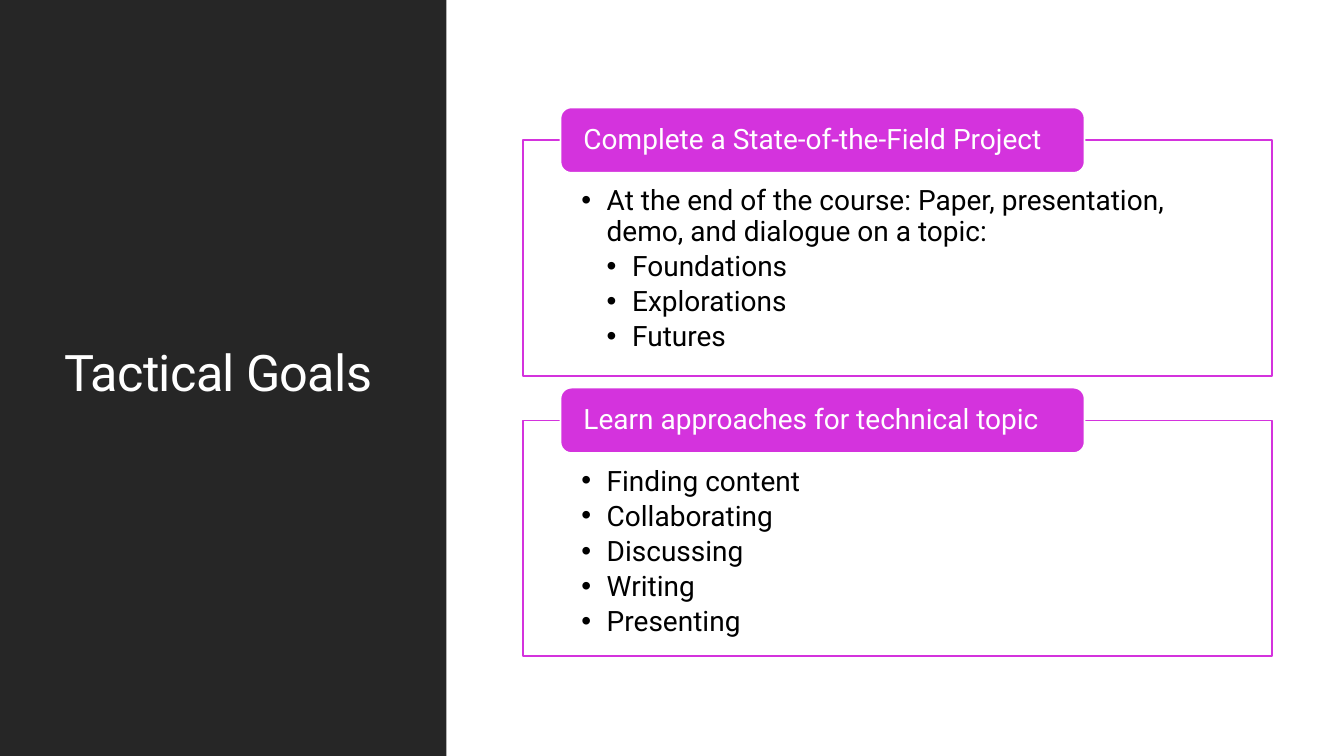
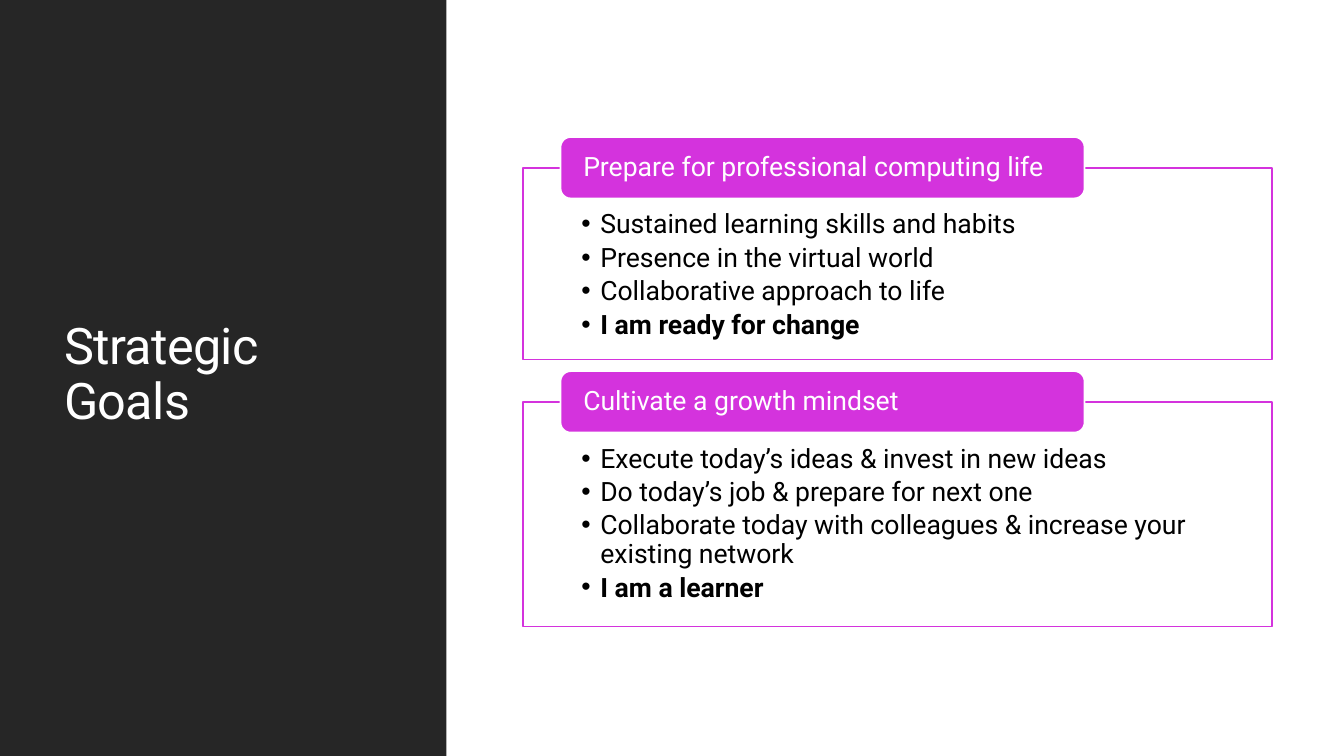
from dataclasses import dataclass

from lxml.etree import SubElement
from pptx import Presentation
from pptx.dml.color import RGBColor
from pptx.enum.shapes import MSO_SHAPE
from pptx.enum.text import MSO_ANCHOR, MSO_AUTO_SIZE, PP_ALIGN
from pptx.oxml.ns import qn
from pptx.util import Cm, Pt


@dataclass(frozen=True)
class Theme:
    font: str = "Roboto"
    dark: RGBColor = RGBColor(0x26, 0x26, 0x26)
    accent: RGBColor = RGBColor(0xD4, 0x33, 0xDD)
    white: RGBColor = RGBColor(0xFF, 0xFF, 0xFF)
    black: RGBColor = RGBColor(0x00, 0x00, 0x00)
    title_size: int = 36
    outline: float = 1.25
    line_spacing: float = 0.9
    item_gap: float = 0.175


@dataclass(frozen=True)
class Goal:
    heading: str
    height: float
    items: tuple


@dataclass(frozen=True)
class GoalSlide:
    title: str
    text_size: int
    heading_height: float
    gap: float
    top_inset: float
    indent: float
    goals: tuple


@dataclass(frozen=True)
class Item:
    text: str
    level: int = 0
    bold: bool = False


THEME = Theme()
SLIDE_WIDTH, SLIDE_HEIGHT = 33.87, 19.05
SIDEBAR_WIDTH = 11.25
FRAME_LEFT, FRAME_WIDTH = 13.18, 18.87
STACK_MIDDLE = 9.62

GOAL_SLIDES = (
    GoalSlide("Tactical Goals", 20, 1.65, 1.12, 1.17, 0.64, (
        Goal("Complete a State-of-the-Field Project", 5.94, (
            Item("At the end of the course: Paper, presentation, "
                 "demo, and dialogue on a topic:"),
            Item("Foundations", level=1),
            Item("Explorations", level=1),
            Item("Futures", level=1),
        )),
        Goal("Learn approaches for technical topic", 5.94, (
            Item("Finding content"),
            Item("Collaborating"),
            Item("Discussing"),
            Item("Writing"),
            Item("Presenting"),
        )),
    )),
    GoalSlide("Strategic Goals", 19, 1.55, 1.07, 1.09, 0.48, (
        Goal("Prepare for professional computing life", 4.83, (
            Item("Sustained learning skills and habits"),
            Item("Presence in the virtual world"),
            Item("Collaborative approach to life"),
            Item("I am ready for change", bold=True),
        )),
        Goal("Cultivate a growth mindset", 5.66, (
            Item("Execute today’s ideas & invest in new ideas"),
            Item("Do today’s job & prepare for next one"),
            Item("Collaborate today with colleagues & increase "
                 "your existing network"),
            Item("I am a learner", bold=True),
        )),
    )),
)


def apply(target, formats):
    for attribute, value in formats.items():
        setattr(target, attribute, value)


def place(shape, left, top, width, height):
    apply(shape, {"left": Cm(left), "top": Cm(top),
                  "width": Cm(width), "height": Cm(height)})


def paint(shape, fill, outline):
    shape.fill.solid()
    shape.fill.fore_color.rgb = fill
    shape.line.color.rgb = outline
    shape.line.width = Pt(THEME.outline)


def set_frame(frame, anchor, insets=(0.25, 0.13, 0.25, 0.13)):
    apply(frame, {"word_wrap": True, "auto_size": MSO_AUTO_SIZE.NONE,
                  "vertical_anchor": anchor})
    sides = ("margin_left", "margin_top", "margin_right", "margin_bottom")
    apply(frame, {side: Cm(inset) for side, inset in zip(sides, insets)})


def write(paragraph, text, size, color, bold=False, after=0):
    apply(paragraph, {"alignment": PP_ALIGN.LEFT,
                      "line_spacing": THEME.line_spacing,
                      "space_before": Pt(0), "space_after": Pt(after)})
    run = paragraph.add_run()
    run.text = text
    apply(run.font, {"name": THEME.font, "size": Pt(size), "bold": bold})
    run.font.color.rgb = color
    return run


def add_bullet(paragraph, level, indent):
    paragraph.level = level
    properties = paragraph._p.get_or_add_pPr()
    properties.set("marL", str(Cm(indent * (level + 1))))
    properties.set("indent", str(-Cm(indent)))
    SubElement(properties, qn("a:buChar")).set("char", "•")


def add_sidebar(layout, slide):
    sidebar = slide.shapes.add_shape(
        MSO_SHAPE.RECTANGLE, 0, 0, Cm(SIDEBAR_WIDTH), Cm(SLIDE_HEIGHT))
    sidebar.shadow.inherit = False
    sidebar.fill.solid()
    sidebar.fill.fore_color.rgb = THEME.dark
    sidebar.line.fill.background()
    sidebar.element.nvSpPr.cNvPr.set("id", "20")
    layout.shapes.element.insert(2, sidebar.element)


def write_title(title, text):
    place(title, 1.37, 1.45, 8.56, 16.03)
    set_frame(title.text_frame, MSO_ANCHOR.MIDDLE)
    run = write(title.text_frame.paragraphs[0], text,
                THEME.title_size, THEME.white)
    run._r.get_or_add_rPr().set("spc", "-50")


def write_list(body, goal, top, design):
    place(body, FRAME_LEFT, top, FRAME_WIDTH, goal.height)
    paint(body, THEME.white, THEME.accent)
    frame = body.text_frame
    set_frame(frame, MSO_ANCHOR.TOP, (1.47, design.top_inset, 1.47, 0.4))
    for index, item in enumerate(goal.items):
        paragraph = frame.add_paragraph() if index else frame.paragraphs[0]
        write(paragraph, item.text, design.text_size, THEME.black, item.bold,
              design.text_size * THEME.item_gap)
        add_bullet(paragraph, item.level, design.indent)


def add_heading(slide, text, frame_top, design):
    heading = slide.shapes.add_shape(MSO_SHAPE.ROUNDED_RECTANGLE, 0, 0, 0, 0)
    place(heading, FRAME_LEFT + FRAME_WIDTH * 0.05,
          frame_top - design.heading_height / 2,
          FRAME_WIDTH * 0.7, design.heading_height)
    heading.shadow.inherit = False
    paint(heading, THEME.accent, THEME.white)
    set_frame(heading.text_frame, MSO_ANCHOR.MIDDLE, (0.5, 0, 0.5, 0))
    write(heading.text_frame.paragraphs[0], text,
          design.text_size, THEME.white)


def fill_slide(slide, design):
    write_title(slide.shapes.title, design.title)
    bodies = [holder for holder in slide.placeholders
              if holder.placeholder_format.idx > 0]
    stack_height = (design.heading_height / 2
                    + sum(goal.height for goal in design.goals)
                    + design.gap * (len(design.goals) - 1))
    top = STACK_MIDDLE - stack_height / 2 + design.heading_height / 2
    for body, goal in zip(bodies, design.goals):
        write_list(body, goal, top, design)
        add_heading(slide, goal.heading, top, design)
        top += goal.height + design.gap


def main():
    deck = Presentation()
    apply(deck, {"slide_width": Cm(SLIDE_WIDTH),
                 "slide_height": Cm(SLIDE_HEIGHT)})
    layout = deck.slide_layouts.get_by_name("Two Content")
    slides = [deck.slides.add_slide(layout) for _ in GOAL_SLIDES]
    add_sidebar(layout, slides[0])
    for slide, design in zip(slides, GOAL_SLIDES):
        fill_slide(slide, design)
    deck.save("out.pptx")


if __name__ == "__main__":
    main()
